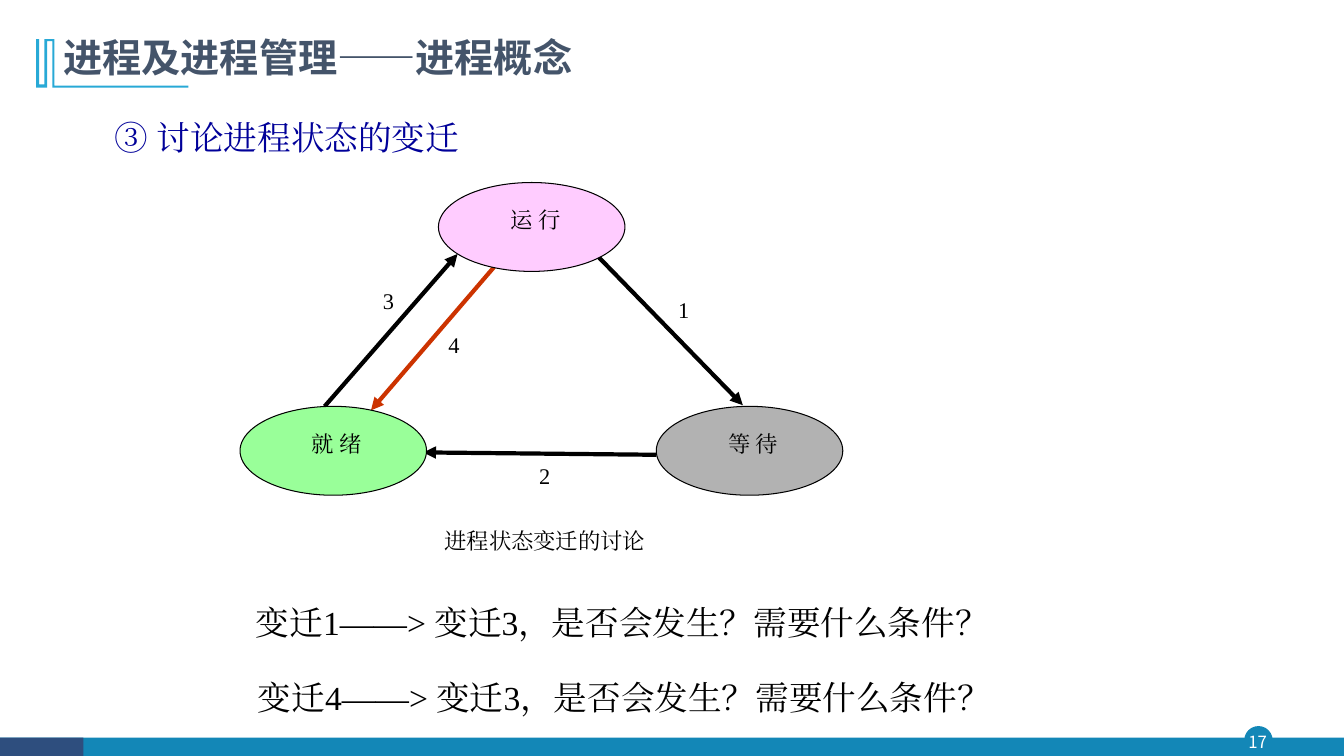
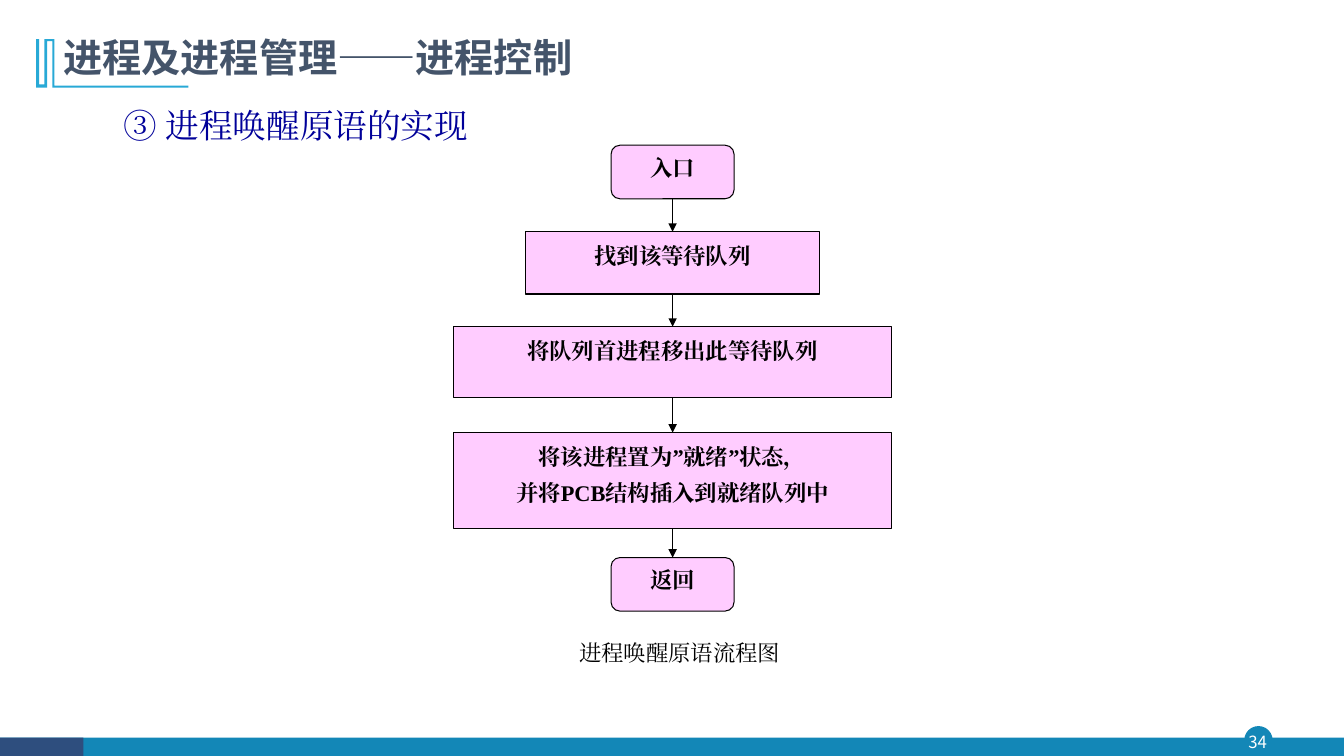
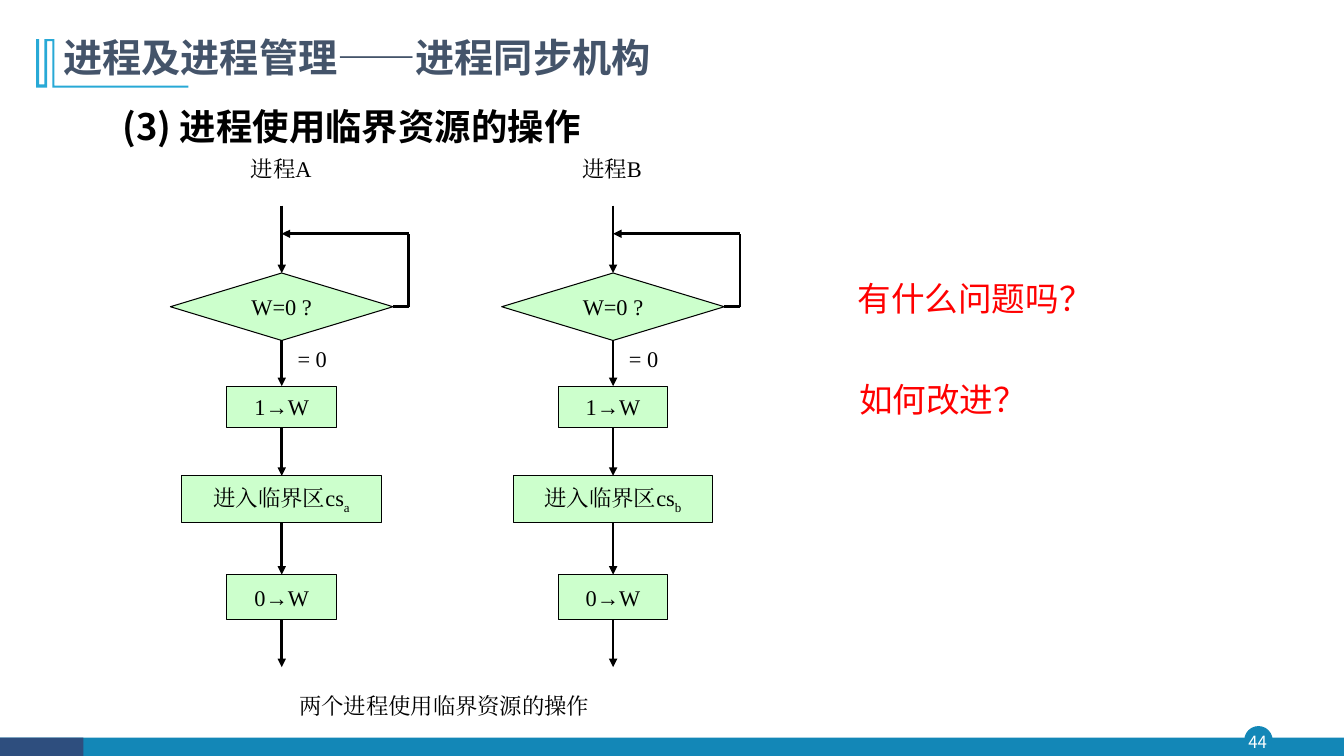
from itertools import pairwise

from lxml.etree import SubElement
from pptx import Presentation
from pptx.dml.color import RGBColor
from pptx.enum.shapes import MSO_CONNECTOR as Connector, MSO_SHAPE as Shape
from pptx.enum.text import MSO_ANCHOR as Anchor, PP_ALIGN as Align
from pptx.oxml.ns import qn
from pptx.util import Cm, Pt

# Shared look; all positions and sizes are in centimetres
COLORS = {
    "bar": "1387B7", "corner": "2E4E7E", "mark": "28A9D6", "title": "44546A",
    "heading": "000099", "black": "000000", "white": "FFFFFF", "question": "FF0000",
    "pink": "FFCCFF", "gray": "B2B2B2", "green": "99FF99", "pale": "CCFFCC",
    "preempt": "CC3300",
}
SERIF, SANS = "Times New Roman", "Noto Sans CJK SC"
SLIDE_WIDTH, SLIDE_HEIGHT = 33.87, 19.05
MARK = [(1.37, 0.99), (1.37, 2.16), (4.75, 2.16), (4.75, 2.21), (1.32, 2.21),
        (1.32, 1.04), (1.19, 1.04), (1.19, 2.21), (0.91, 2.21), (0.91, 0.99),
        (0.99, 0.99), (0.99, 2.13), (1.12, 2.13), (1.12, 0.99)]

# State diagram
STATE_SIZE = (4.7, 2.24)
STATES = [("运 行", 11.05, 4.6, "pink"), ("等 待", 16.54, 10.24, "gray"),
          ("就 绪", 6.05, 10.24, "green")]
# label, label position, start, end, colour
TRANSITIONS = [
    ("1", (16.84, 7.34), (14.96, 6.35), (18.72, 10.21), "black"),
    ("2", (13.34, 11.53), (16.54, 11.46), (10.67, 11.4), "black"),
    ("3", (9.4, 7.11), (8.18, 10.24), (11.53, 6.4), "black"),
    ("4", (11.05, 8.23), (12.45, 6.73), (9.35, 10.34), "preempt"),
]
STATE_QUESTIONS = [("变迁1——> 变迁3，是否会发生？需要什么条件？", 6.2, 15.04),
                   ("变迁4——> 变迁3，是否会发生？需要什么条件？", 6.25, 16.92)]

# Wake-up flow: lines, top, width, height, preset
WAKE_CENTER = 16.95
WAKE_STEPS = [
    (["入口"], 3.66, 3.1, 1.35, Shape.ROUNDED_RECTANGLE),
    (["找到该等待队列"], 5.84, 7.42, 1.57, Shape.RECTANGLE),
    (["将队列首进程移出此等待队列"], 8.23, 11.05, 1.8, Shape.RECTANGLE),
    (["将该进程置为”就绪”状态，", "并将PCB结构插入到就绪队列中"], 10.9, 11.05, 2.41,
     Shape.RECTANGLE),
    (["返回"], 14.05, 3.1, 1.35, Shape.ROUNDED_RECTANGLE),
]

# Two processes: name, subscript, centre
PROCESSES = [("进程A", "a", 7.1), ("进程B", "b", 15.45)]
# text, top, width, height, preset
LANE_STEPS = [
    ("W=0 ?", 6.88, 5.61, 1.7, Shape.FLOWCHART_DECISION),
    ("1→W", 9.73, 2.77, 1.04, Shape.RECTANGLE),
    ("进入临界区cs", 11.99, 5.03, 1.19, Shape.RECTANGLE),
    ("0→W", 14.48, 2.77, 1.14, Shape.RECTANGLE),
]
LANE_START, LANE_END = 5.18, 16.81
LOOP_TOP, LOOP_REACH = 5.89, 3.2
LANE_QUESTIONS = [("有什么问题吗？", 21.36, 6.88), ("如何改进？", 21.4, 9.42)]


def rgb(name):
    return RGBColor.from_string(COLORS[name])


def style_run(run, size, color, font, bold):
    run.font.size = Pt(size)
    run.font.bold = bold
    run.font.color.rgb = rgb(color)
    run.font.name = font
    SubElement(run.font._element, qn("a:ea")).set("typeface", font)


def write(shape, lines, size=16, color="black", font=SERIF, bold=False,
          align=Align.LEFT, spacing=1.0, before=0, after=0, anchor=Anchor.TOP):
    frame = shape.text_frame
    frame.word_wrap = True
    frame.vertical_anchor = anchor
    frame.text = "\n".join(lines)
    for paragraph in frame.paragraphs:
        paragraph.alignment = align
        paragraph.line_spacing = spacing
        paragraph.space_before, paragraph.space_after = Pt(before), Pt(after)
        for run in paragraph.runs:
            style_run(run, size, color, font, bold)
    return frame


def add_text(slide, text, left, top, width, height, **style):
    box = slide.shapes.add_textbox(Cm(left), Cm(top), Cm(width), Cm(height))
    return write(box, [text], **style)


def paint(shape, fill, line=None):
    shape.shadow.inherit = False
    shape.fill.solid()
    shape.fill.fore_color.rgb = rgb(fill)
    if line:
        shape.line.color.rgb = rgb(line)
        shape.line.width = Pt(0.75)
    else:
        shape.line.fill.background()


def add_box(slide, preset, left, top, width, height, fill, line=None):
    shape = slide.shapes.add_shape(preset, Cm(left), Cm(top), Cm(width), Cm(height))
    paint(shape, fill, line)
    return shape


def add_line(slide, start, end, width, color="black", arrow=True):
    points = [Cm(value) for value in (*start, *end)]
    connector = slide.shapes.add_connector(Connector.STRAIGHT, *points)
    connector.line.color.rgb = rgb(color)
    connector.line.width = Pt(width)
    properties = connector._element.spPr
    if arrow:
        SubElement(properties.find(qn("a:ln")), qn("a:tailEnd")).set("type", "triangle")
    SubElement(properties, qn("a:effectLst"))


def add_page(presentation, topic, number):
    """Blank slide with the footer band, corner mark and title."""
    slide = presentation.slides.add_slide(presentation.slide_layouts[6])
    add_box(slide, Shape.OVAL, 31.37, 18.31, 0.69, 0.69, "bar", "bar")
    for width, color in [(SLIDE_WIDTH, "bar"), (2.1, "corner")]:
        add_box(slide, Shape.RECTANGLE, 0, 18.59, width, SLIDE_HEIGHT - 18.59, color)
    frame = add_text(slide, str(number), 31.29, 18.31, 0.81, 0.79, size=12, color="white",
                     font=SANS, align=Align.CENTER, anchor=Anchor.MIDDLE)
    frame.margin_left = frame.margin_right = frame.margin_top = frame.margin_bottom = 0
    outline = [(Cm(x), Cm(y)) for x, y in MARK]
    builder = slide.shapes.build_freeform(*outline[0])
    builder.add_line_segments(outline[1:])
    paint(builder.convert_to_shape(), "mark")
    add_text(slide, "进程及进程管理——" + topic, 1.35, 0.86, 26.64, 1.42, size=28,
             color="title", font=SANS, bold=True, spacing=0.9)
    return slide


def add_caption(slide, text, left, top, width):
    add_text(slide, text, left, top, width, 1.07, spacing=1.2)


def build_states(presentation):
    slide = add_page(presentation, "进程概念", 17)
    add_text(slide, "③ 讨论进程状态的变迁", 2.64, 2.31, 20, 2.34, size=24,
             color="heading", spacing=1.5, before=5)
    for label, position, start, end, color in TRANSITIONS:
        add_line(slide, start, end, 3, color)
        add_text(slide, label, *position, 1.3, 0.94)
    for name, left, top, fill in STATES:
        state = add_box(slide, Shape.OVAL, left, top, *STATE_SIZE, fill, "black")
        frame = write(state, [name], spacing=1.2)
        frame.margin_left, frame.margin_right = Cm(1.12), 0
    for question, left, top in STATE_QUESTIONS:
        add_text(slide, question, left, top, 20.1, 1.27, size=24)
    add_caption(slide, "进程状态变迁的讨论", 10.95, 13.03, 6.1)


def build_wakeup(presentation):
    slide = add_page(presentation, "进程控制", 34)
    add_text(slide, "③ 进程唤醒原语的实现", 2.87, 2.31, 10.77, 1.47, size=24,
             color="heading", spacing=1.2)
    for (_, top, _, height, _), following in pairwise(WAKE_STEPS):
        add_line(slide, (WAKE_CENTER, top + height), (WAKE_CENTER, following[1]), 0.75)
    for lines, top, width, height, preset in WAKE_STEPS:
        step = add_box(slide, preset, WAKE_CENTER - width / 2, top, width, height,
                       "pink", "black")
        rounded = preset == Shape.ROUNDED_RECTANGLE
        frame = write(step, lines, bold=True, align=Align.CENTER, after=3,
                      spacing=1.0 if rounded else 1.2)
        if rounded:
            frame.margin_top = Cm(0.16)
    add_caption(slide, "进程唤醒原语流程图", 14.35, 15.85, 5.74)


def add_lane(slide, name, subscript, center):
    add_text(slide, name, center - 1.03, 3.78, 2.77, 0.94)
    for text, top, width, height, preset in LANE_STEPS:
        step = add_box(slide, preset, center - width / 2, top, width, height,
                       "pale", "black")
        frame = write(step, [text], align=Align.CENTER, anchor=Anchor.MIDDLE)
        frame.margin_left = frame.margin_right = frame.margin_top = frame.margin_bottom = 0
        if text.endswith("cs"):
            run = frame.paragraphs[0].add_run()
            run.text = subscript
            style_run(run, 16, "black", SERIF, False)
            run.font._element.set("baseline", "-25000")
    # Downward arrows join each bottom edge to the next top edge
    starts = [LANE_START] + [top + height for _, top, _, height, _ in LANE_STEPS]
    ends = [top for _, top, *_ in LANE_STEPS] + [LANE_END]
    for start, end in zip(starts, ends):
        add_line(slide, (center, start), (center, end), 2)
    # Waiting loop from the decision back to the entry arrow
    _, top, width, height, _ = LANE_STEPS[0]
    middle, right = top + height / 2, center + LOOP_REACH
    loop = [(center + width / 2, middle), (right, middle), (right, LOOP_TOP),
            (center, LOOP_TOP)]
    for start, end in pairwise(loop):
        add_line(slide, start, end, 2, arrow=end == loop[-1])
    add_text(slide, "= 0", center + 0.15, 8.56, 1.47, 0.94)


def build_critical(presentation):
    slide = add_page(presentation, "进程同步机构", 44)
    add_text(slide, "(3) 进程使用临界资源的操作", 2.84, 1.96, 16.46, 1.73, size=26,
             font=SANS, bold=True, spacing=1.5, before=10)
    for process in PROCESSES:
        add_lane(slide, *process)
    add_caption(slide, "两个进程使用临界资源的操作", 7.29, 17.17, 8.48)
    for question, left, top in LANE_QUESTIONS:
        add_text(slide, question, left, top, 7.47, 1.27, size=24, color="question",
                 font=SANS)


def main():
    presentation = Presentation()
    presentation.slide_width, presentation.slide_height = Cm(SLIDE_WIDTH), Cm(SLIDE_HEIGHT)
    for build in (build_states, build_wakeup, build_critical):
        build(presentation)
    presentation.save("out.pptx")


if __name__ == "__main__":
    main()
